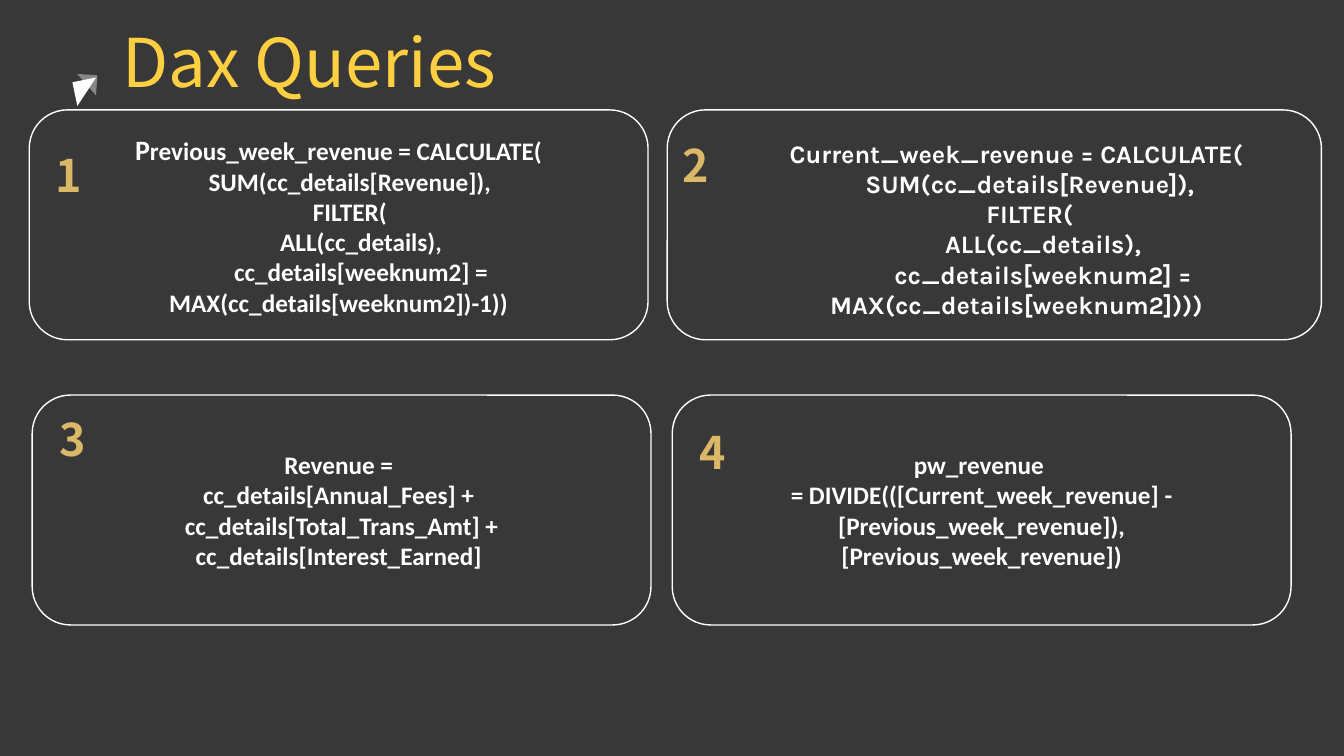
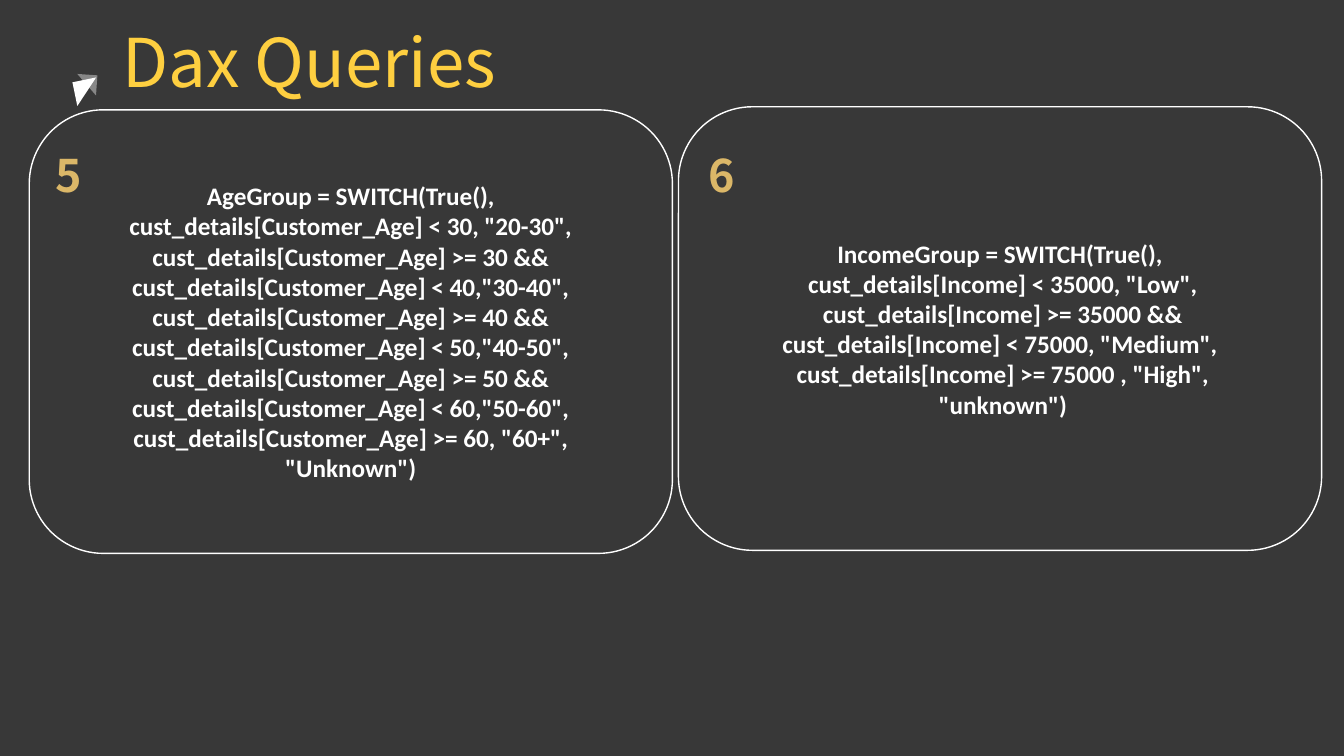
from lxml.etree import SubElement
from pptx import Presentation
from pptx.dml.color import RGBColor
from pptx.enum.shapes import MSO_SHAPE
from pptx.enum.text import MSO_ANCHOR, MSO_AUTO_SIZE, PP_ALIGN
from pptx.oxml.ns import qn
from pptx.util import Pt

CHARCOAL = RGBColor(0x38, 0x38, 0x38)
WHITE = RGBColor(0xFF, 0xFF, 0xFF)
YELLOW = RGBColor(0xFE, 0xCF, 0x40)
GOLD = RGBColor(0xDB, 0xB7, 0x68)

TITLE_FONT = "Noto Sans CJK JP"
NUMBER_FONT = "Noto Sans CJK SC"
TITLE_ONLY = 5


def add_run(paragraph, text, font="Calibri", size=18, color=WHITE, bold=True):
    run = paragraph.add_run()
    run.text = text
    run.font.name = font
    run.font.size = Pt(size)
    run.font.color.rgb = color
    run.font.bold = bold


def write(frame, lines, align=PP_ALIGN.LEFT, anchor=MSO_ANCHOR.TOP, wrap=True,
          step=16, initial_size=None, **run_format):
    """Fill a frame with (depth, text) lines; each depth indents the first line by step."""
    frame.word_wrap = wrap
    frame.auto_size = MSO_AUTO_SIZE.NONE
    frame.vertical_anchor = anchor
    for index, (depth, text) in enumerate(lines):
        paragraph = frame.add_paragraph() if index else frame.paragraphs[0]
        paragraph.alignment = align
        if depth:
            properties = paragraph._p.get_or_add_pPr()
            properties.set("marL", "0")
            properties.set("indent", str(Pt(depth * step)))
        if initial_size and index == 0:
            add_run(paragraph, text[0], **{**run_format, "size": initial_size})
            text = text[1:]
        add_run(paragraph, text, **run_format)


class QueryDeck:
    """Holds the shared style and the slide being built."""

    def __init__(self):
        self.deck = Presentation()
        self.deck.slide_width, self.deck.slide_height = Pt(960), Pt(540)
        background = self.deck.slide_master.background.fill
        background.solid()
        background.fore_color.rgb = CHARCOAL
        self.slide = None

    def new_slide(self, heading):
        self.slide = self.deck.slides.add_slide(self.deck.slide_layouts[TITLE_ONLY])
        title = self.slide.shapes.title
        title.left, title.top, title.width, title.height = map(Pt, (80, 10.8, 309.6, 67.7))
        write(title.text_frame, [(0, heading)], wrap=False, font=TITLE_FONT,
              size=48, color=YELLOW, bold=False)
        self.triangle(53.3, 56.9, 17.3, 78.4)
        self.triangle(54.7, 53.3, 14.4, 184, opacity=40)

    def triangle(self, left, top, side, rotation, opacity=100):
        shape = self.slide.shapes.add_shape(
            MSO_SHAPE.RIGHT_TRIANGLE, Pt(left), Pt(top), Pt(side), Pt(side))
        shape.shadow.inherit = False
        shape.rotation = rotation
        shape.line.fill.background()
        shape.fill.solid()
        shape.fill.fore_color.rgb = WHITE
        if opacity < 100:
            color = shape.fill._xPr.find(qn("a:solidFill"))[0]
            SubElement(color, qn("a:alpha")).set("val", str(opacity * 1000))

    def card(self, left, top, width, height, query=(), **text_format):
        shape = self.slide.shapes.add_shape(
            MSO_SHAPE.ROUNDED_RECTANGLE, Pt(left), Pt(top), Pt(width), Pt(height))
        shape.shadow.inherit = False
        shape.fill.background()
        shape.line.color.rgb = WHITE
        shape.line.width = Pt(1)
        if query:
            write(shape.text_frame, query, align=PP_ALIGN.CENTER,
                  anchor=MSO_ANCHOR.MIDDLE, **text_format)

    def text_box(self, left, top, width, height, lines, **text_format):
        box = self.slide.shapes.add_textbox(Pt(left), Pt(top), Pt(width), Pt(height))
        write(box.text_frame, lines, **text_format)

    def number(self, left, top, value):
        self.text_box(left, top, 40, 53.3, [(0, str(value))],
                      font=NUMBER_FONT, size=32, color=GOLD)


def week_query(name, ending):
    return [
        (0, f"{name} = CALCULATE("),
        (1, "SUM(cc_details[Revenue]),"),
        (1, "FILTER("),
        (2, "ALL(cc_details),"),
        (2, f"cc_details[weeknum2] = MAX(cc_details[weeknum2]){ending}"),
    ]


def flat(*lines):
    return [(0, line) for line in lines]


def age_band(low, high):
    age = "cust_details[Customer_Age]"
    return f'{age} >= {low} && {age} < {high},"{low}-{high}",'


REVENUE = flat(
    "Revenue = ",
    "cc_details[Annual_Fees] + ",
    "cc_details[Total_Trans_Amt] + cc_details[Interest_Earned] ",
)
WEEKLY_CHANGE = flat(
    "pw_revenue ",
    "= DIVIDE(([Current_week_revenue] - [Previous_week_revenue]),",
    "[Previous_week_revenue])",
)
AGE_GROUP = flat(
    "AgeGroup = SWITCH(True(),",
    'cust_details[Customer_Age] < 30, "20-30",',
    *(age_band(low, low + 10) for low in (30, 40, 50)),
    'cust_details[Customer_Age] >= 60, "60+",',
    '"Unknown")',
)
INCOME_GROUP = flat(
    "IncomeGroup = SWITCH(True(),",
    ' cust_details[Income] < 35000, "Low",',
    ' cust_details[Income] >= 35000 && cust_details[Income] < 75000, "Medium",',
    ' cust_details[Income] >= 75000 , "High",',
    ' "unknown")',
)


def main():
    queries = QueryDeck()

    queries.new_slide("Dax Queries")
    queries.card(20.9, 78.5, 442, 164.2, week_query("Previous_week_revenue", "-1))"),
                 initial_size=20)
    queries.number(32.4, 102.2, 1)
    queries.card(476.6, 78.5, 467.3, 164.2)
    queries.number(480.2, 95, 2)
    queries.text_box(518.4, 95, 415.4, 139.7, week_query("Current_week_revenue", "))"),
                     align=PP_ALIGN.CENTER, step=19, font="Karla")
    queries.card(23, 282.2, 442, 164.2, REVENUE)
    queries.number(35.3, 290.2, 3)
    queries.card(480.2, 282.2, 442, 164.2, WEEKLY_CHANGE)
    queries.number(492.5, 300.2, 4)

    queries.new_slide("Dax Queries")
    queries.card(20.9, 78.5, 459.4, 316.8, AGE_GROUP)
    queries.number(32.4, 102.2, 5)
    queries.card(484.6, 76.3, 459.4, 316.8, INCOME_GROUP)
    queries.number(499, 102.2, 6)

    queries.deck.save("out.pptx")


if __name__ == "__main__":
    main()
